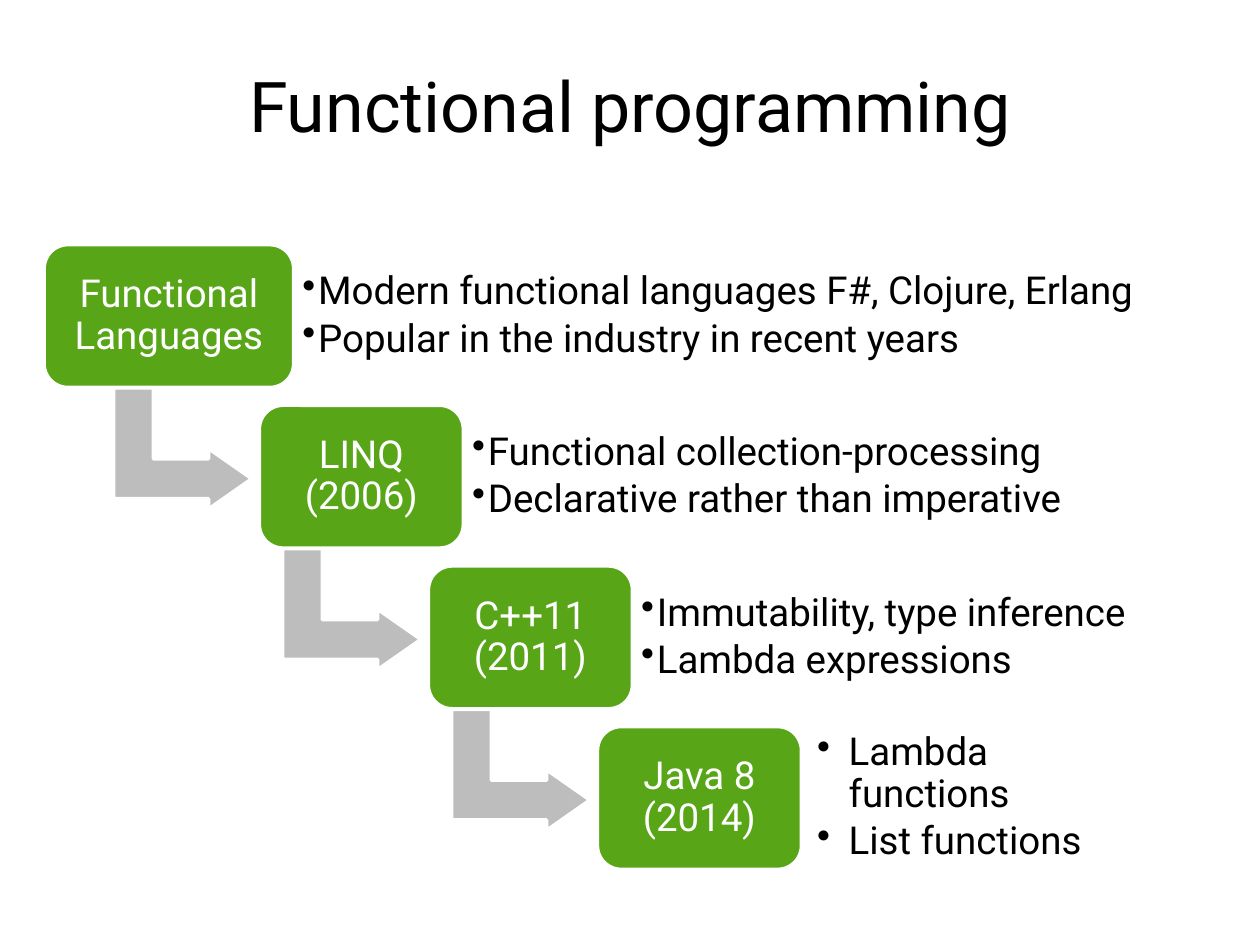
import pptx
import pptx.util
import pptx.dml.color
import pptx.enum.shapes
import pptx.enum.text
from lxml import etree

Pt = pptx.util.Pt
RGBColor = pptx.dml.color.RGBColor
MSO_SHAPE = pptx.enum.shapes.MSO_SHAPE
PP_ALIGN = pptx.enum.text.PP_ALIGN
MSO_ANCHOR = pptx.enum.text.MSO_ANCHOR

GREEN = RGBColor(0x58, 0xA6, 0x18)
GREY = RGBColor(0xBD, 0xBD, 0xBD)
WHITE = RGBColor(0xFF, 0xFF, 0xFF)
BLACK = RGBColor(0, 0, 0)
FONT = "Roboto"

TITLE = "Functional programming"
# label, box left, box width, bullet inset, bullet indent, bullets
STEPS = [
    ("Functional Languages", 25.2, 142.6, 5, 9,
     ["Modern functional languages F#, Clojure, Erlang",
      "Popular in the industry in recent years"]),
    ("LINQ (2006)", 148.2, 116.6, 5, 9,
     ["Functional collection-processing", "Declarative rather than imperative"]),
    ("C++11 (2011)", 244.8, 116.6, 5, 9,
     ["Immutability, type inference", "Lambda expressions"]),
    ("Java 8 (2014)", 341.4, 116.6, 9, 18,
     ["Lambda functions", "List functions"]),
]

FIRST_TOP, STEP_DOWN, STEP_RIGHT = 139.8, 91.8, 96.6
BOX_HEIGHT, BULLETS_HEIGHT, BULLETS_RIGHT = 81.6, 66, 671
ARROW_LEFT, ARROW_TOP, ARROW_WIDTH, ARROW_HEIGHT = 69.8, 216.8, 69.2, 79
ARROW_ADJUSTMENTS = (0.328, 0.25, 0.358)


def fill_frame(frame, lines, size, color, align, inset, line_spacing=1.0, after=0):
    frame.word_wrap = True
    frame.vertical_anchor = MSO_ANCHOR.MIDDLE
    frame.margin_left = frame.margin_right = Pt(inset)
    frame.margin_top = frame.margin_bottom = Pt(inset)
    frame.text = "\n".join(lines)
    for paragraph in frame.paragraphs:
        paragraph.alignment = align
        paragraph.line_spacing = line_spacing
        paragraph.space_after = Pt(after)
        for run in paragraph.runs:
            run.font.name = FONT
            run.font.size = Pt(size)
            run.font.color.rgb = color


def add_bullet(paragraph, indent):
    properties = paragraph._p.get_or_add_pPr()
    properties.set("marL", str(Pt(indent)))
    properties.set("indent", str(-Pt(indent)))
    bullet = etree.SubElement(properties, pptx.oxml.ns.qn("a:buChar"))
    bullet.set("char", "•")


def add_outlined(shapes, kind, left, top, width, height, color):
    shape = shapes.add_shape(kind, Pt(left), Pt(top), Pt(width), Pt(height))
    shape.shadow.inherit = False
    shape.fill.solid()
    shape.fill.fore_color.rgb = color
    shape.line.color.rgb = WHITE
    shape.line.width = Pt(2)
    return shape


def main():
    presentation = pptx.Presentation()
    presentation.slide_width, presentation.slide_height = Pt(720), Pt(540)
    slide = presentation.slides.add_slide(presentation.slide_layouts[6])
    shapes = slide.shapes

    title = shapes.add_textbox(Pt(36.5), Pt(20), Pt(647), Pt(80))
    fill_frame(title.text_frame, [TITLE], 40, BLACK, PP_ALIGN.CENTER, 4)

    for index, (label, left, width, inset, indent, bullets) in enumerate(STEPS):
        drop = index * STEP_DOWN
        if index < len(STEPS) - 1:
            arrow = add_outlined(shapes, MSO_SHAPE.BENT_UP_ARROW,
                                 ARROW_LEFT + index * STEP_RIGHT, ARROW_TOP + drop,
                                 ARROW_WIDTH, ARROW_HEIGHT, GREY)
            arrow.rotation = 90
            for position, value in enumerate(ARROW_ADJUSTMENTS):
                arrow.adjustments[position] = value

        top = FIRST_TOP + drop
        box = add_outlined(shapes, MSO_SHAPE.ROUNDED_RECTANGLE,
                           left, top, width, BOX_HEIGHT, GREEN)
        fill_frame(box.text_frame, [label], 22, WHITE, PP_ALIGN.CENTER, 7, 0.9, 7.7)

        right = left + width
        details = shapes.add_textbox(
            Pt(right), Pt(top + (BOX_HEIGHT - BULLETS_HEIGHT) / 2),
            Pt(BULLETS_RIGHT - right), Pt(BULLETS_HEIGHT))
        fill_frame(details.text_frame, bullets, 22, BLACK, PP_ALIGN.LEFT, inset, 0.9, 3.3)
        for paragraph in details.text_frame.paragraphs:
            add_bullet(paragraph, indent)

    presentation.save("out.pptx")


if __name__ == "__main__":
    main()
